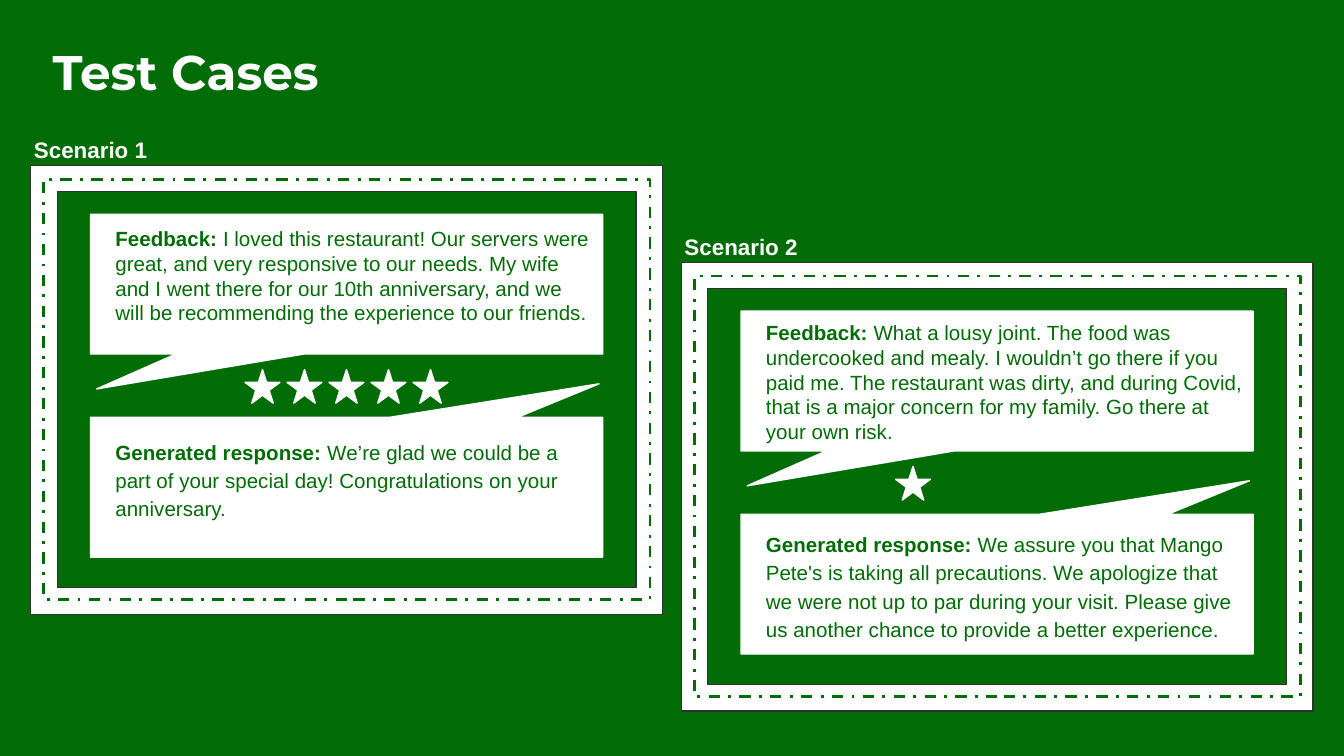
from pptx import Presentation
from pptx.dml.color import RGBColor
from pptx.enum.dml import MSO_LINE
from pptx.enum.shapes import MSO_SHAPE
from pptx.enum.text import MSO_ANCHOR, MSO_AUTO_SIZE, PP_ALIGN
from pptx.util import Pt

FRAME, RECTANGLE = MSO_SHAPE.FRAME, MSO_SHAPE.RECTANGLE
CALLOUT, STAR = MSO_SHAPE.ROUNDED_RECTANGULAR_CALLOUT, MSO_SHAPE.STAR_5_POINT
DASH_DOT = MSO_LINE.DASH_DOT
MIDDLE, LEFT, NO_FIT = MSO_ANCHOR.MIDDLE, PP_ALIGN.LEFT, MSO_AUTO_SIZE.NONE

# Content
TITLE = "Test Cases"
SCENARIOS = [
    {
        "label": "Scenario 1",
        "origin": (16.5, 88.6),
        "stars": 5,
        "text_height": 53.3,
        "feedback": "I loved this restaurant! Our servers were great, and very "
                    "responsive to our needs. My wife and I went there for our 10th "
                    "anniversary, and we will be recommending the experience to our "
                    "friends.",
        "response": "We’re glad we could be a part of your special day! "
                    "Congratulations on your anniversary.",
    },
    {
        "label": "Scenario 2",
        "origin": (365, 140.5),
        "stars": 1,
        "text_height": 63.4,
        "feedback": "What a lousy joint. The food was undercooked and mealy. I "
                    "wouldn’t go there if you paid me. The restaurant was dirty, and "
                    "during Covid, that is a major concern for my family. Go there at "
                    "your own risk.",
        "response": "We assure you that Mango Pete's is taking all precautions. We "
                    "apologize that we were not up to par during your visit. Please "
                    "give us another chance to provide a better experience.",
    },
]

THEME = {
    "green": RGBColor(0x02, 0x6C, 0x06),
    "white": RGBColor(0xFF, 0xFF, 0xFF),
    "edge": RGBColor(0x30, 0x30, 0x30),
    "title_font": "Montserrat",
    "body_font": "Arial",
    "title_size": 26,
    "label_size": 12,
    "body_size": 11,
}

# Card parts: left, top, width, height, measured from the card's corner
FRAME_BOX = (0, 0, 338.4, 240.5)
DASHED_BOX = (7, 7.4, 324.7, 225.4)
LABEL_BOX = (-5.4, -28.8, 116.6, 40.3)
BUBBLES = {
    "feedback": {"box": (32, 26.2, 274.3, 74.9), "turn": 0,
                 "tail": (-0.488, 0.75, 0), "text_top": 32.4,
                 "lead": "Feedback: ", "spacing": 1.0},
    "response": {"box": (32, 135, 274.3, 74.9), "turn": 180,
                 "tail": (-0.493, 0.74, 0), "text_top": 141.1,
                 "lead": "Generated response: ", "spacing": 1.15},
}
TEXT_LEFT, TEXT_WIDTH = 36.7, 265
STAR_BOX, STAR_STEP = (114.8, 109.4, 18.7, 18), 22.5
STAR_POINTS = (0.191, 1.051, 1.106)


def points(box, origin=(0, 0)):
    left, top, width, height = box
    return Pt(origin[0] + left), Pt(origin[1] + top), Pt(width), Pt(height)


def add_part(shapes, kind, box, origin, fill=None, line=None, weight=0.75,
             dash=None, adjust=(), turn=0):
    shape = shapes.add_shape(kind, *points(box, origin))
    shape.shadow.inherit = False
    shape.rotation = turn
    for index, value in enumerate(adjust):
        shape.adjustments[index] = value
    if fill is None:
        shape.fill.background()
    else:
        shape.fill.solid()
        shape.fill.fore_color.rgb = fill
    shape.line.color.rgb = line
    shape.line.width = Pt(weight)
    if dash is not None:
        shape.line.dash_style = dash


def write(box, spans, size, color, font=THEME["body_font"], spacing=1.0,
          margins=(7.2, 7.2, 7.2, 7.2)):
    """Fill a box with one paragraph of (text, bold) spans."""
    frame = box.text_frame
    frame.word_wrap = True
    frame.auto_size = NO_FIT
    frame.vertical_anchor = MIDDLE
    (frame.margin_left, frame.margin_top,
     frame.margin_right, frame.margin_bottom) = map(Pt, margins)
    para = frame.paragraphs[0]
    para.alignment = LEFT
    para.line_spacing = spacing
    for text, bold in spans:
        span = para.add_run()
        span.text = text
        span.font.name = font
        span.font.size = Pt(size)
        span.font.bold = bold
        span.font.color.rgb = color


def add_card(page, scenario):
    origin = scenario["origin"]
    green, white = THEME["green"], THEME["white"]

    # Border
    add_part(page.shapes, FRAME, FRAME_BOX, origin, fill=white,
             line=THEME["edge"], adjust=(0.059,))
    add_part(page.shapes, RECTANGLE, DASHED_BOX, origin, line=green,
             weight=1.5, dash=DASH_DOT)

    # Speech bubbles and their text
    for key, bubble in BUBBLES.items():
        add_part(page.shapes, CALLOUT, bubble["box"], origin, fill=white,
                 line=white, adjust=bubble["tail"], turn=bubble["turn"])
        text_box = (TEXT_LEFT, bubble["text_top"], TEXT_WIDTH,
                    scenario["text_height"])
        write(page.shapes.add_textbox(*points(text_box, origin)),
              [(bubble["lead"], True), (scenario[key], False)],
              size=THEME["body_size"], color=green, spacing=bubble["spacing"],
              margins=(8.6, 7.2, 0.7, 7.2))

    # Star rating
    rating = page.shapes.add_group_shape()
    left, *rest = STAR_BOX
    for index in range(scenario["stars"]):
        add_part(rating.shapes, STAR, (left + index * STAR_STEP, *rest), origin,
                 fill=white, line=white, adjust=STAR_POINTS)

    # Label
    write(page.shapes.add_textbox(*points(LABEL_BOX, origin)),
          [(scenario["label"], True)], size=THEME["label_size"], color=white)


def main():
    deck = Presentation()
    deck.slide_width, deck.slide_height = Pt(720), Pt(405)
    page = deck.slides.add_slide(deck.slide_layouts[5])
    page.background.fill.solid()
    page.background.fill.fore_color.rgb = THEME["green"]

    # Title
    title = page.shapes.title
    title.left, title.top, title.width, title.height = points((21, 15.4, 677.5, 45.4))
    write(title, [(TITLE, True)], size=THEME["title_size"], color=THEME["white"],
          font=THEME["title_font"])

    for scenario in SCENARIOS:
        add_card(page, scenario)
    deck.save("out.pptx")


if __name__ == "__main__":
    main()
